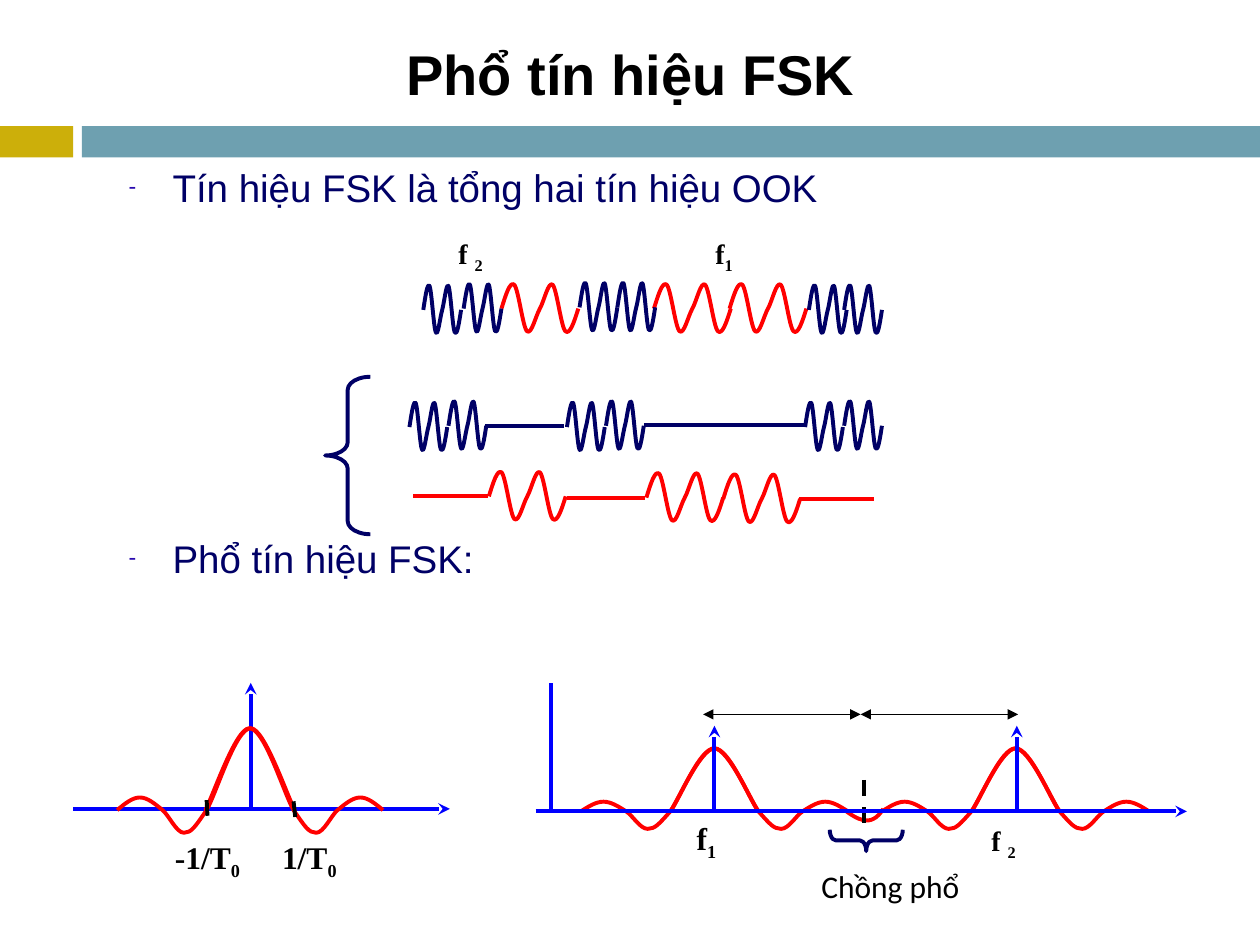
"""Build the slide on the spectrum of an FSK signal."""
from lxml.etree import SubElement as sub
from pptx import Presentation
from pptx.dml.color import RGBColor
from pptx.enum.dml import MSO_LINE as Dash
from pptx.enum.shapes import MSO_CONNECTOR as Conn, MSO_SHAPE as Kind
from pptx.enum.text import MSO_ANCHOR as Anchor, MSO_AUTO_SIZE as Auto, PP_ALIGN as Align
from pptx.oxml.ns import qn
from pptx.util import Inches, Pt

BLACK = RGBColor(0x00, 0x00, 0x00)
NAVY = RGBColor(0x00, 0x00, 0x66)
BLUE = RGBColor(0x00, 0x00, 0xFF)
RED = RGBColor(0xFF, 0x00, 0x00)
GOLD = RGBColor(0xCC, 0xAF, 0x0A)
TEAL = RGBColor(0x6E, 0xA0, 0xB0)

WAVE = (0, -.11, -.22, -.19, -.15, .15, .18, .21, .06, 0,
        -.06, -.22, -.19, -.15, .15, .18, .21, .11, 0)
LOBE_X = (0, .06, .12, .18, .24, .3, .36, .41, .47, .53,
          .59, .62, .71, .79, .94, 1.06, 1.17, 1.35, 1.41)
LOBE_Y = (0, -.05, -.1, -.1, -.1, -.05, 0, .04, .18, .18,
          .18, .13, 0, -.14, -.65, -.65, -.65, -.11, 0)


class Deck:
    """Hold the style and the current slide."""

    def __init__(self):
        self.prs = Presentation()
        self.prs.slide_width, self.prs.slide_height = Inches(10), Inches(7.5)
        self.slide = self.prs.slides.add_slide(self.prs.slide_layouts[1])
        self.shapes = self.slide.shapes
        self.width = Pt(2.25)

    def place(self, shape, x, y, w, h):
        shape.left, shape.top = Inches(x), Inches(y)
        shape.width, shape.height = Inches(w), Inches(h)

    def style(self, font, size, color, name, bold=False):
        font.size, font.name, font.bold = Pt(size), name, bold
        font.color.rgb = color

    def title(self, text, *box):
        shape = self.shapes.title
        self.place(shape, *box)
        frame = shape.text_frame
        frame.text = text
        frame.vertical_anchor = Anchor.MIDDLE
        para = frame.paragraphs[0]
        para.alignment = Align.CENTER
        self.style(para.runs[0].font, 32, BLACK, "Arial", True)

    def body(self, items, *box):
        shape = self.slide.placeholders[1]
        self.place(shape, *box)
        frame = shape.text_frame
        frame.text = "\n".join(text for text, _ in items)
        frame.auto_size = Auto.NONE
        for para, (_, gap) in zip(frame.paragraphs, items):
            prop = para._p.get_or_add_pPr()
            prop.set("marL", str(Inches(.35)))
            prop.set("indent", str(-Inches(.35)))
            tint = sub(prop, qn("a:buClr"))
            sub(tint, qn("a:srgbClr"), val="2909AF")
            sub(prop, qn("a:buSzPct"), val="60000")
            sub(prop, qn("a:buFont"), typeface="Arial")
            sub(prop, qn("a:buChar"), char="-")
            para.space_before = Pt(gap)
            self.style(para.runs[0].font, 22, NAVY, "Arial")

    def label(self, text, x, y, w, h, size, name="Times New Roman", bold=True):
        """Write a label whose part after an underscore is a subscript."""
        frame = self.shapes.add_textbox(*map(Inches, (x, y, w, h))).text_frame
        frame.word_wrap = True
        for index, part in enumerate(text.split("_")):
            run = frame.paragraphs[0].add_run()
            run.text = part
            self.style(run.font, size, BLACK, name, bold)
            if index:
                run._r.get_or_add_rPr().set("baseline", "-25000")

    def bar(self, color, *box):
        shape = self.shapes.add_shape(Kind.RECTANGLE, *map(Inches, box))
        shape.shadow.inherit = False
        shape.fill.solid()
        shape.fill.fore_color.rgb = color
        shape.line.fill.background()

    def brace(self, x, y, w, h, bend, turn=0):
        shape = self.shapes.add_shape(Kind.LEFT_BRACE, *map(Inches, (x, y, w, h)))
        shape.adjustments[0] = bend
        shape.rotation = turn
        self.outline(shape, NAVY)

    def outline(self, shape, color):
        shape.shadow.inherit = False
        shape.fill.background()
        shape.line.color.rgb = color
        shape.line.width = self.width

    def line(self, color, *ends, width=None, dash=False, head=None, tail=None):
        conn = self.shapes.add_connector(Conn.STRAIGHT, *map(Inches, ends))
        conn.line.color.rgb = color
        conn.line.width = width or self.width
        if dash:
            conn.line.dash_style = Dash.DASH
        for tag, kind in (("a:headEnd", head), ("a:tailEnd", tail)):
            if kind:
                sub(conn.line._get_or_add_ln(), qn(tag), type=kind)
        sub(conn._element.spPr, qn("a:effectLst"))

    def curve(self, color, points):
        """Draw a chain of Bezier arcs, three points to each arc."""
        dots = [(Inches(x), Inches(y)) for x, y in points]
        form = self.shapes.build_freeform(*dots[0])
        form.add_line_segments(dots[1:], close=False)
        shape = form.convert_to_shape()
        self.outline(shape, color)
        lines = list(shape._element.iter(qn("a:lnTo")))
        for start in range(0, len(lines), 3):
            arc = sub(lines[start].getparent(), qn("a:cubicBezTo"))
            for node in lines[start:start + 3]:
                arc.append(node[0])
                node.getparent().remove(node)

    def wave(self, color, x, y, width):
        step = width / (len(WAVE) - 1)
        self.curve(color, [(x + i * step, y + dy) for i, dy in enumerate(WAVE)])

    def lobe(self, x, y, side, scale=1):
        self.curve(RED, [(x + side * dx, y + scale * dy)
                         for dx, dy in zip(LOBE_X, LOBE_Y)])


def main():
    deck = Deck()
    deck.bar(GOLD, 0, 1, .58, .25)
    deck.bar(TEAL, .65, 1, 9.35, .25)
    deck.title("Phổ tín hiệu FSK", .42, .17, 9.17, .82)
    deck.body([("Tín hiệu FSK là tổng hai tín hiệu OOK", 0),
               ("Phổ tín hiệu FSK:", 185.5)], .92, 1.25, 6.92, 3.92)

    deck.label("f _2", 3.54, 1.83, .5, .26, 16)
    deck.label("f_1", 5.58, 1.83, .5, .26, 16)
    for x, y in ((3.98, 2.45), (5.79, 2.45), (5.19, 2.45),
                 (3.88, 3.94), (5.13, 3.95), (5.74, 3.96)):
        deck.wave(RED, x, y, .61)
    for x, y in ((3.36, 2.46), (3.68, 2.45), (4.6, 2.44),
                 (4.9, 2.44), (6.42, 2.46), (6.7, 2.46)):
        deck.wave(NAVY, x, y, .3)
    for x in (3.25, 4.5, 6.39):
        deck.wave(NAVY, x, 3.39, .3)
        deck.wave(NAVY, x + .31, 3.38, .3)
    for color, left, right, y in ((NAVY, 3.85, 4.48, 3.38), (NAVY, 5.11, 6.38, 3.37),
                                  (RED, 3.28, 3.87, 3.94), (RED, 4.5, 5.12, 3.95),
                                  (RED, 6.34, 6.94, 3.96)):
        deck.line(color, left, y, right, y)
    deck.brace(2.58, 2.99, .36, 1.25, .29)

    deck.line(BLUE, .58, 6.42, 3.57, 6.42, tail="stealth")
    deck.line(BLUE, 1.99, 6.43, 1.99, 5.42, tail="stealth")
    deck.lobe(.93, 6.43, 1)
    deck.lobe(3.04, 6.43, -1)
    deck.line(BLACK, 2.33, 6.36, 2.35, 6.55, dash=True)
    deck.line(BLACK, 1.64, 6.35, 1.65, 6.53, dash=True)
    deck.label("-1/T_0", 1.29, 6.6, .84, .32, 18)
    deck.label("1/T_0", 2.14, 6.6, .84, .32, 18)

    for x, side in ((4.61, 1), (6.73, -1), (7, 1), (9.12, -1)):
        deck.lobe(x, 6.44, side, .77)
    deck.line(BLUE, 4.37, 6.43, 4.37, 5.42)
    for x in (5.67, 8.07):
        deck.line(BLUE, x, 6.43, x, 5.76, tail="stealth")
    deck.curve(RED, [(6.69, 6.42), (6.8, 6.5), (6.91, 6.58), (7.01, 6.42)])
    deck.line(BLACK, 6.86, 6.19, 6.86, 6.53, dash=True)
    deck.line(BLUE, 4.25, 6.44, 9.42, 6.44, tail="stealth")
    for x in (5.58, 6.83):
        deck.line(BLACK, x, 5.67, x + 1.25, 5.67, width=Pt(.75),
                  head="triangle", tail="triangle")
    deck.label("f_1", 5.43, 6.45, .88, .42, 18)
    deck.label("f _2", 7.77, 6.49, .88, .26, 16)
    deck.brace(6.79, 6.38, .17, .58, .29, 270)
    deck.label("Chồng phổ", 6.42, 6.83, 2.83, .4, 18, "Calibri", False)
    deck.prs.save("out.pptx")


if __name__ == "__main__":
    main()
